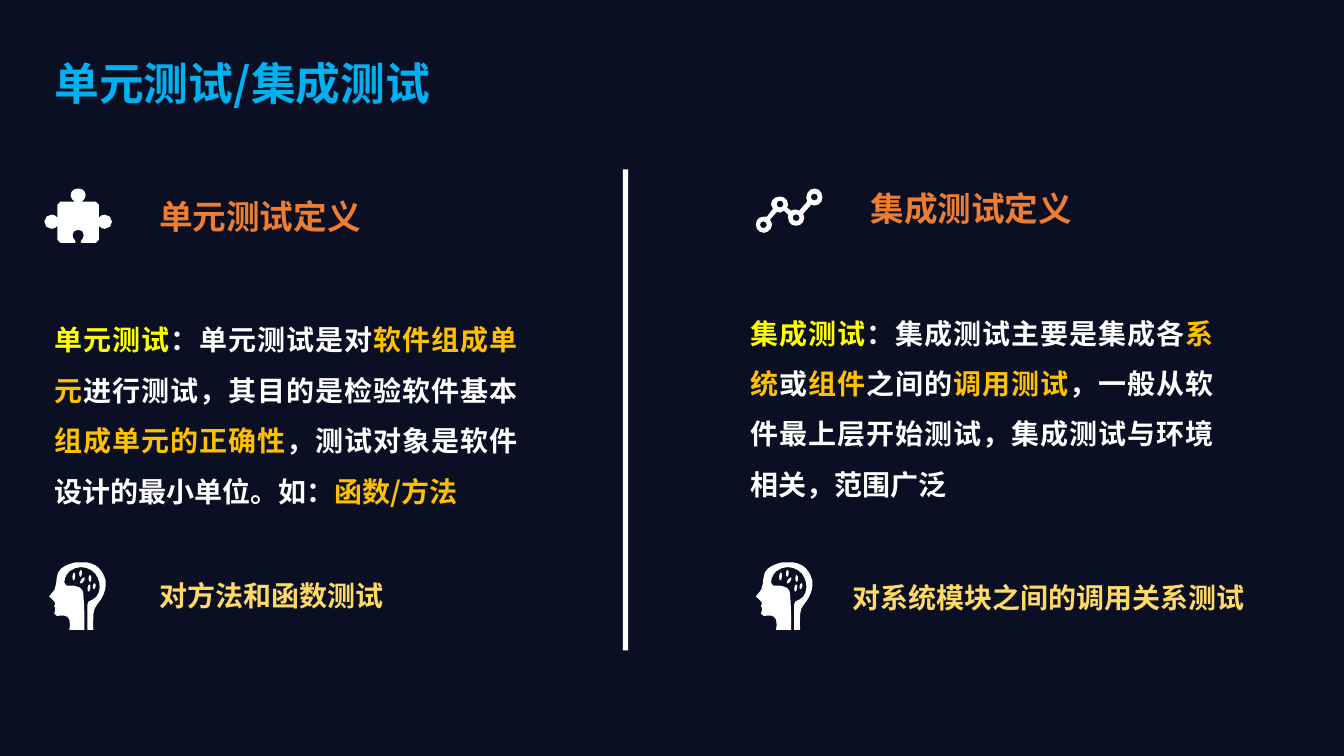
"""Build a slide that compares unit testing with integration testing."""
from dataclasses import dataclass
from math import ceil, cos, dist, pi, radians, sin

from lxml import etree
from pptx import Presentation
from pptx.dml.color import RGBColor
from pptx.enum.shapes import MSO_SHAPE
from pptx.enum.text import MSO_AUTO_SIZE, PP_ALIGN
from pptx.oxml.ns import qn
from pptx.util import Cm, Pt

RECTANGLE = MSO_SHAPE.RECTANGLE
GROW = MSO_AUTO_SIZE.SHAPE_TO_FIT_TEXT
LEFT, JUSTIFY = PP_ALIGN.LEFT, PP_ALIGN.JUSTIFY
FONT = "Noto Sans CJK SC"
COLOURS = {
    "background": "0A0F23", "title": "00B0F0", "heading": "ED7D31", "term": "FFFF00",
    "body": "FFFFFF", "key": "FFC000", "summary": "FFD966",
}
CHORD = 5
ELLIPSE_POINTS = 8
SUBUNITS = 100
ICON_SCALE = Cm(2.54) / 100 / SUBUNITS

Point = tuple[float, float]
Contour = list[Point]
Runs = list[tuple[str, str]]


@dataclass
class Block:
    """A text box placed in centimetres."""
    left: float
    top: float
    width: float
    height: float
    runs: Runs
    size: int = 20
    align: PP_ALIGN = LEFT
    spacing: float = 1.0


@dataclass
class Icon:
    """A white icon placed in centimetres."""
    left: float
    top: float
    contours: list[Contour]


def outline(commands: str) -> Contour:
    """Flatten a path of M, L and C commands into few points."""
    points: Contour = []
    for letter in "MLC":
        commands = commands.replace(letter, "|" + letter)
    for command in commands.split("|")[1:]:
        numbers = [float(number) for number in command[1:].split()]
        pairs = list(zip(numbers[::2], numbers[1::2]))
        if command[0] != "C":
            points += pairs
            continue
        for first in range(0, len(pairs), 3):
            curve = [points[-1], *pairs[first:first + 3]]
            steps = max(1, ceil(dist(curve[0], curve[3]) / CHORD))
            points += [bezier(curve, step / steps) for step in range(1, steps + 1)]
    return points


def bezier(curve: Contour, t: float) -> Point:
    """Return the point at t on a cubic curve."""
    weights = ((1 - t) ** 3, 3 * t * (1 - t) ** 2, 3 * t * t * (1 - t), t ** 3)
    return (sum(w * x for w, (x, _) in zip(weights, curve)),
            sum(w * y for w, (_, y) in zip(weights, curve)))


def ellipse(x: float, y: float, across: float, along: float, tilt: float = 0) -> Contour:
    """Return an ellipse whose long radius leans right by tilt degrees."""
    lean = radians(tilt)
    angles = [2 * pi * step / ELLIPSE_POINTS for step in range(ELLIPSE_POINTS)]
    return [(x + across * cos(a) * cos(lean) - along * sin(a) * sin(lean),
             y + across * cos(a) * sin(lean) + along * sin(a) * cos(lean)) for a in angles]


def puzzle() -> list[Contour]:
    """Return a puzzle piece, mirrored about its middle."""
    half = outline(
        "M33.5 0 C38 0 41 3 41 7 41 10 39 11 37 13 L51 13 C52 13 54 15 54 16 "
        "L54 29 C56 27 57 26 60 26 64 26 67 29 67 33 67 37 64 40 60 40 57 40 56 39 54 37 "
        "L54 51 C54 53 52 54 51 54 L37 54 L36 53 L37 51 C38 50 39 49 39 46 39 43 37 41 33.5 41")
    return [half + [(67 - x, y) for x, y in reversed(half[1:-1])]]


def network() -> list[Contour]:
    """Return four linked rings."""
    links = outline(
        "M58 0 C54 0 50 4 50 9 50 10 51 12 51 13 L43 22 C42 21 41 21 40 21 38 21 37 21 35 22 "
        "L31 19 C32 18 32 17 32 16 32 11 28 8 24 8 19 8 15 11 15 16 15 17 16 19 17 20 "
        "L11 28 C10 28 9 28 8 28 3 28 0 31 0 36 0 40 3 44 8 44 12 44 16 40 16 36 16 34 15 33 14 31 "
        "L21 23 C22 24 23 24 24 24 25 24 27 23 28 22 L32 26 C32 27 32 28 32 29 "
        "32 34 35 37 40 37 44 37 48 34 48 29 48 28 48 26 47 25 L55 16 "
        "C56 16 57 17 58 17 63 17 66 13 66 9 66 4 63 0 58 0")
    centres = [(58, 8.5), (40, 29), (24, 15.5), (7.5, 36)]
    return [links] + [ellipse(x, y, 3.4, 3.4) for x, y in centres]


def head() -> list[Contour]:
    """Return a head in profile with a brain."""
    profile = outline(
        "M34 0 C36 0 39 0 41 1 49 3 54 10 56 18 57 26 54 34 49 40 48 42 44 45 44 51 "
        "44 56 43 61 44 67 L38 67 L38 42 L39 39 C42 38 45 36 47 34 "
        "51 29 51 21 48 15 45 7 31 0 20 9 17 12 15 16 15 20 L17 23 "
        "C35 22 34 30 34 34 35 42 35 58 35 67 L20 67 C21 63 21 55 18 54 16 52 13 53 11 53 "
        "9 54 6 53 5 51 5 49 7 47 6 45 L5 44 L6 40 C7 37 0 37 0 34 "
        "0 32 7 29 7 21 7 17 8 13 9 10 12 4 19 2 26 0")
    drops = [(39.5, 25.5, 3.6, 8), (44.7, 23.7, 3, 12), (33, 18, 3.6, 35),
             (40.5, 16, 3.4, 0), (24.5, 14, 3.9, 5), (31.2, 11, 3.4, 5)]
    return [profile] + [ellipse(x, y, 1.4, along, tilt) for x, y, along, tilt in drops]


def paint(shape, colour: str) -> None:
    """Fill a shape plainly, with no line or shadow."""
    shape.shadow.inherit = False
    shape.fill.solid()
    shape.fill.fore_color.rgb = RGBColor.from_string(COLOURS[colour])
    shape.line.fill.background()


def add_icon(slide, icon: Icon) -> None:
    """Draw an icon as one freeform."""
    builder = None
    for contour in icon.contours:
        (x, y), *rest = [(px * SUBUNITS, py * SUBUNITS) for px, py in contour]
        if builder is None:
            builder = slide.shapes.build_freeform(x, y, scale=ICON_SCALE)
        else:
            builder.move_to(x, y)
        builder.add_line_segments(rest, close=True)
    paint(builder.convert_to_shape(Cm(icon.left), Cm(icon.top)), "body")


def add_run(paragraph, text: str, *, colour: str, size: int) -> None:
    """Add bold text in the slide font."""
    run = paragraph.add_run()
    run.text = text
    run.font.size, run.font.bold, run.font.name = Pt(size), True, FONT
    run.font.color.rgb = RGBColor.from_string(COLOURS[colour])
    etree.SubElement(run._r.get_or_add_rPr(), qn("a:ea"), typeface=FONT)


def add_block(slide, block: Block) -> None:
    """Draw a text box of coloured runs."""
    box = slide.shapes.add_textbox(Cm(block.left), Cm(block.top), Cm(block.width), Cm(block.height))
    frame = box.text_frame
    frame.word_wrap, frame.auto_size = True, GROW
    paragraph = frame.paragraphs[0]
    paragraph.alignment, paragraph.line_spacing = block.align, block.spacing
    for text, colour in block.runs:
        add_run(paragraph, text, colour=colour, size=block.size)


BLOCKS = [
    Block(1.12, 1.27, 19.08, 1.63, [("单元测试/集成测试", "title")], size=32),
    Block(3.76, 4.8, 9.96, 1.27, [("单元测试定义", "heading")], size=24),
    Block(21.69, 4.6, 9.96, 1.27, [("集成测试定义", "heading")], size=24),
    Block(1.12, 7.59, 12.17, 5.38, [
        ("单元测试", "term"), ("：单元测试是对", "body"), ("软件组成单元", "key"),
        ("进行测试，其目的是检验软件基本", "body"), ("组成单元的正确性", "key"),
        ("，测试对象是软件设计的最小单位。如：", "body"), ("函数/方法", "key"),
    ], align=JUSTIFY, spacing=1.5),
    Block(18.67, 7.42, 12.17, 5.38, [
        ("集成测试", "term"), ("：集成测试主要是集成各", "body"), ("系统", "key"), ("或", "body"),
        ("组件", "key"), ("之间的", "body"), ("调用测试", "key"),
        ("，一般从软件最上层开始测试，集成测试与环境相关，范围广泛", "body"),
    ], align=JUSTIFY, spacing=1.5),
    Block(3.76, 14.45, 8.18, 1.12, [("对方法和函数测试", "summary")]),
    Block(21.23, 14.5, 10.85, 1.12, [("对系统模块之间的调用关系测试", "summary")]),
]
ICONS = [Icon(1.12, 4.75, puzzle()), Icon(19.05, 4.75, network()),
         Icon(1.24, 14.17, head()), Icon(19.05, 14.17, head())]


def main() -> None:
    """Assemble and save the slide."""
    presentation = Presentation()
    presentation.slide_width, presentation.slide_height = Cm(33.87), Cm(19.05)
    slide = presentation.slides.add_slide(presentation.slide_layouts[6])
    slide.background.fill.solid()
    slide.background.fill.fore_color.rgb = RGBColor.from_string(COLOURS["background"])
    divider = slide.shapes.add_shape(RECTANGLE, Cm(15.7), Cm(4.27), Cm(0.13), Cm(12.12))
    paint(divider, "body")
    for block in BLOCKS:
        add_block(slide, block)
    for icon in ICONS:
        add_icon(slide, icon)
    presentation.save("out.pptx")


if __name__ == "__main__":
    main()
